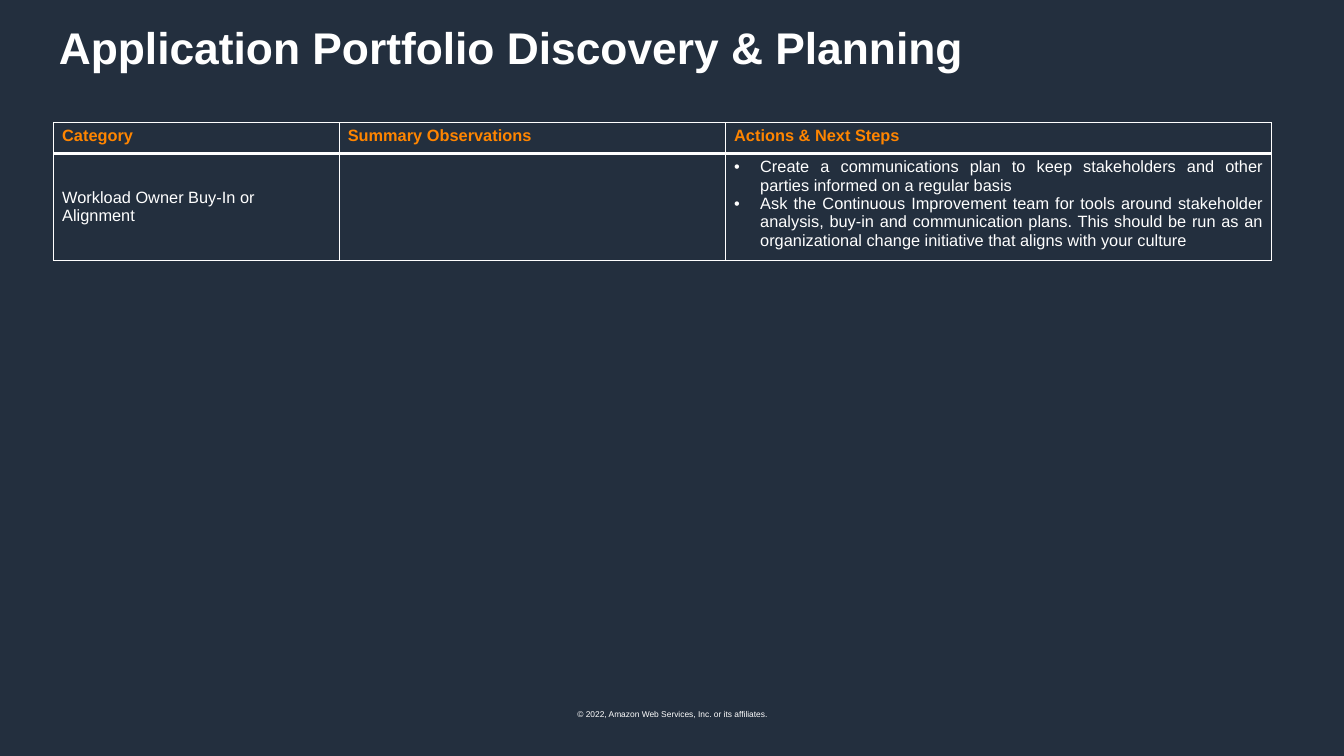
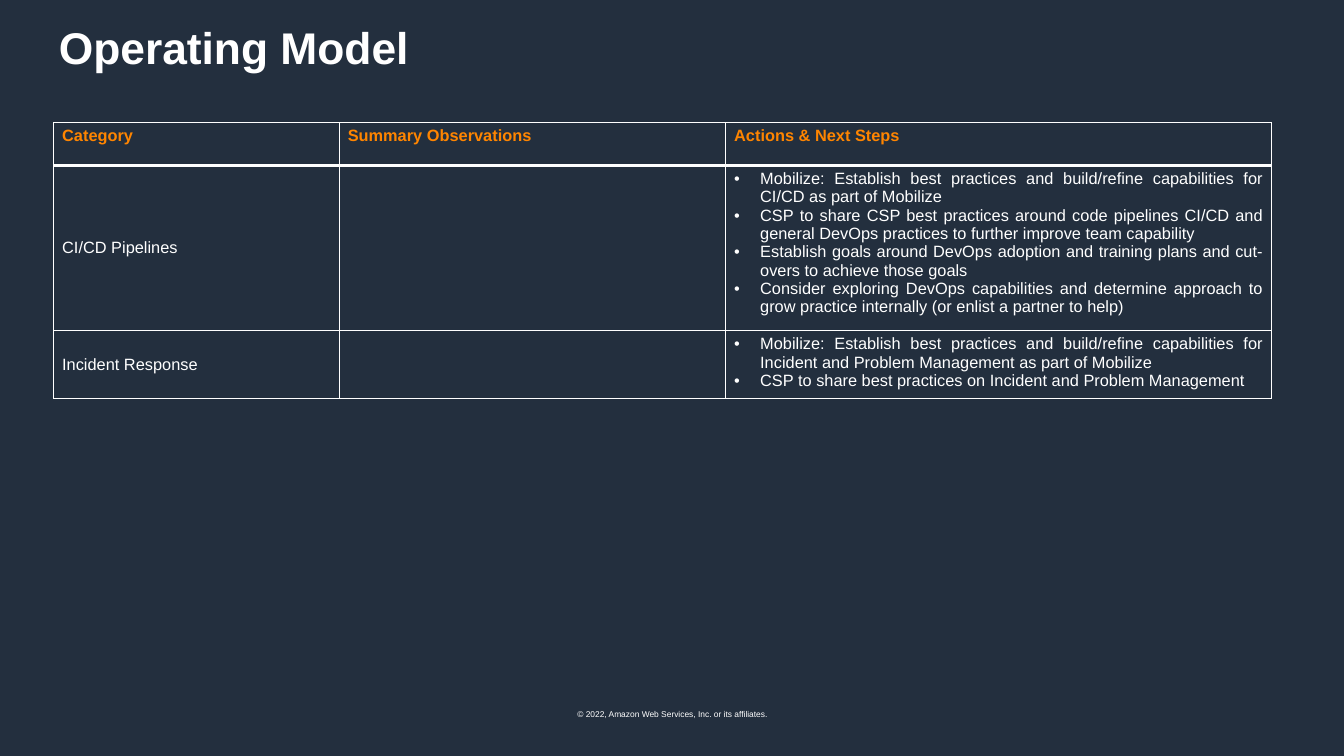
from dataclasses import dataclass

from lxml import etree
from pptx import Presentation
from pptx.dml.color import RGBColor
from pptx.enum.text import MSO_ANCHOR, MSO_AUTO_SIZE, PP_ALIGN
from pptx.oxml.ns import qn
from pptx.util import Inches, Pt

TOP, MIDDLE = MSO_ANCHOR.TOP, MSO_ANCHOR.MIDDLE
LEFT, CENTER, JUSTIFY = PP_ALIGN.LEFT, PP_ALIGN.CENTER, PP_ALIGN.JUSTIFY
NO_FIT = MSO_AUTO_SIZE.NONE


@dataclass(frozen=True)
class Theme:
    """Colours, font and type sizes of the deck."""
    back: RGBColor = RGBColor.from_string("232F3E")
    text: RGBColor = RGBColor.from_string("FFFFFF")
    accent: RGBColor = RGBColor.from_string("FF8500")
    font: str = "Arial"
    title_size: float = 38
    table_size: float = 14
    footer_size: float = 7.2
    thin: float = 1
    thick: float = 3


def set_all(target, values):
    """Set every attribute named in a dict."""
    for name, value in values.items():
        setattr(target, name, value)


class Deck:
    """Holds the theme, the presentation and the current slide."""

    HEADERS = ["Category", "Summary Observations", "Actions & Next Steps"]
    WIDTHS = [3.4, 4.6, 6.5]
    FOOTER = "© 2022, Amazon Web Services, Inc. or its affiliates."

    def __init__(self, theme):
        """Start a widescreen deck on a dark background."""
        self.theme = theme
        self.prs = Presentation()
        set_all(self.prs, {"slide_width": Inches(16), "slide_height": Inches(9)})
        fill = self.prs.slide_master.background.fill
        fill.solid()
        fill.fore_color.rgb = theme.back

    def slide(self, title):
        """Add a slide with its title and footer."""
        self.s = self.prs.slides.add_slide(self.prs.slide_layouts[5])
        self.title(title)
        self.footer()

    def add_text(self, p, text, size, color, bold=False, align=LEFT):
        """Put one formatted run into a paragraph."""
        p.alignment = align
        r = p.add_run()
        r.text = text
        set_all(r.font, {"name": self.theme.font, "size": Pt(size), "bold": bold})
        r.font.color.rgb = color

    def title(self, text):
        """Place and fill the title placeholder."""
        sp = self.s.shapes.title
        set_all(sp, {"left": Inches(0.6), "top": Inches(0.14),
                     "width": Inches(13.75), "height": Inches(0.95)})
        tf = sp.text_frame
        set_all(tf, {"vertical_anchor": TOP, "auto_size": NO_FIT,
                     "word_wrap": True, "margin_top": Inches(0.1)})
        self.add_text(tf.paragraphs[0], text, self.theme.title_size, self.theme.text, True)

    def footer(self):
        """Add the centred copyright line."""
        sp = self.s.shapes.add_textbox(Inches(6.75), Inches(8.39),
                                       Inches(2.51), Inches(0.22))
        tf = sp.text_frame
        tf.word_wrap = False
        self.add_text(tf.paragraphs[0], self.FOOTER, self.theme.footer_size,
                      self.theme.text, align=CENTER)

    def table(self, heights, rows):
        """Add the findings table: rows of category and actions."""
        shape = self.s.shapes.add_table(
            len(rows) + 1, len(self.WIDTHS), Inches(0.64), Inches(1.46),
            Inches(sum(self.WIDTHS)), Inches(sum(heights)))
        table = shape.table
        table.horz_banding = False
        for column, width in zip(table.columns, self.WIDTHS):
            column.width = Inches(width)
        for i, height in enumerate(heights):
            table.rows[i].height = Inches(height)
            for cell in table.rows[i].cells:
                self.frame(cell, i)
        t = self.theme
        for cell, header in zip(table.rows[0].cells, self.HEADERS):
            self.add_text(cell.text_frame.paragraphs[0], header, t.table_size, t.accent, True)
        for i, (category, actions) in enumerate(rows, 1):
            cell = table.cell(i, 0)
            cell.vertical_anchor = MIDDLE
            self.add_text(cell.text_frame.paragraphs[0], category, t.table_size, t.text)
            self.bullets(table.cell(i, 2).text_frame, actions)

    def frame(self, cell, row):
        """Draw cell borders, with a thick rule under the header row."""
        t = self.theme
        tcPr = cell._tc.get_or_add_tcPr()
        widths = {"L": t.thin, "R": t.thin,
                  "T": t.thick if row == 1 else t.thin,
                  "B": t.thick if row == 0 else t.thin}
        for side, width in widths.items():
            ln = etree.SubElement(tcPr, qn(f"a:ln{side}"), w=str(Pt(width)))
            fill = etree.SubElement(ln, qn("a:solidFill"))
            etree.SubElement(fill, qn("a:srgbClr"), val=str(t.text))
        cell.fill.background()

    def bullets(self, tf, items):
        """Add justified bullets with a hanging indent."""
        indent = Inches(0.31)
        for i, item in enumerate(items):
            p = tf.add_paragraph() if i else tf.paragraphs[0]
            pPr = p._p.get_or_add_pPr()
            pPr.set("marL", str(indent))
            pPr.set("indent", str(-indent))
            etree.SubElement(pPr, qn("a:buFont"), typeface=self.theme.font)
            etree.SubElement(pPr, qn("a:buChar"), char="•")
            self.add_text(p, item, self.theme.table_size, self.theme.text, align=JUSTIFY)


def main():
    """Build both slides and save the deck."""
    deck = Deck(Theme())

    deck.slide("Application Portfolio Discovery & Planning")
    deck.table([0.37, 1.26], [
        ("Workload Owner Buy-In or Alignment", [
            "Create a communications plan to keep stakeholders and other parties "
            "informed on a regular basis",
            "Ask the Continuous Improvement team for tools around stakeholder analysis, "
            "buy-in and communication plans. This should be run as an organizational "
            "change initiative that aligns with your culture",
        ]),
    ])

    deck.slide("Operating Model")
    deck.table([0.51, 1.97, 0.79], [
        ("CI/CD Pipelines", [
            "Mobilize: Establish best practices and build/refine capabilities for "
            "CI/CD as part of Mobilize",
            "CSP to share CSP best practices around code pipelines CI/CD and general "
            "DevOps practices to further improve team capability",
            "Establish goals around DevOps adoption and training plans and cut-overs "
            "to achieve those goals",
            "Consider exploring DevOps capabilities and determine approach to grow "
            "practice internally (or enlist a partner to help)",
        ]),
        ("Incident Response", [
            "Mobilize: Establish best practices and build/refine capabilities for "
            "Incident and Problem Management as part of Mobilize",
            "CSP to share best practices on Incident and Problem Management",
        ]),
    ])

    deck.prs.save("out.pptx")


if __name__ == "__main__":
    main()
